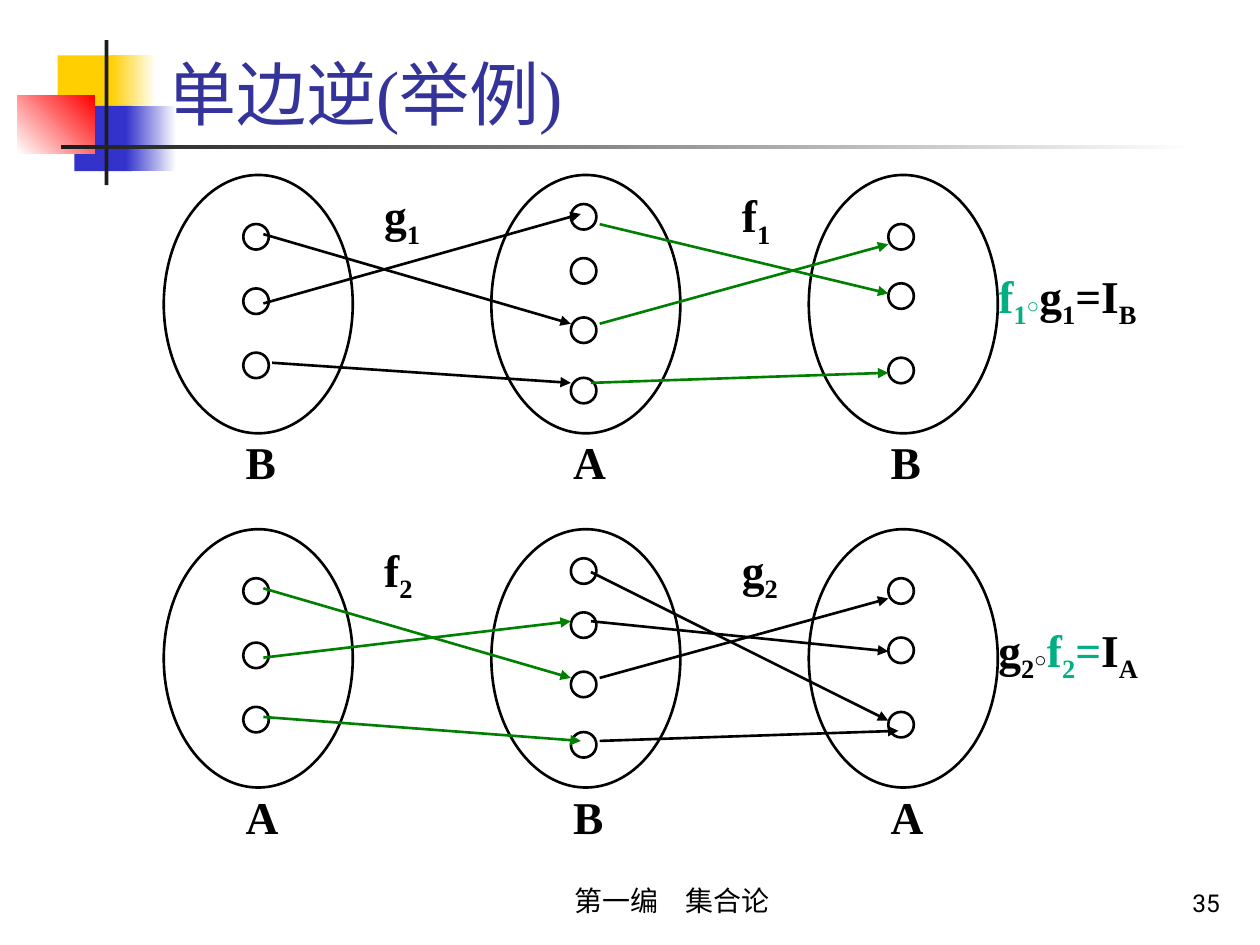
from lxml import etree
from pptx import Presentation
from pptx.dml.color import RGBColor
from pptx.enum import shapes, text
from pptx.oxml.ns import qn
from pptx.util import Pt

SERIF = "Times New Roman"
BLACK, GREEN, TEAL, WHITE = "000000", "008000", "00B082", "FFFFFF"
SUB = -25000  # subscript baseline, thousandths of a percent


def color(value):
    return RGBColor.from_string(value)


def points(*lengths):
    return [Pt(n) for n in lengths]


def add_block(s, box, start, end=None, angle=0):
    """Borderless rectangle, solid or with a two-colour gradient."""
    sp = s.shapes.add_shape(shapes.MSO_SHAPE.RECTANGLE, *points(*box))
    sp.shadow.inherit = False
    sp.line.fill.background()
    if end is None:
        sp.fill.solid()
        sp.fill.fore_color.rgb = color(start)
        return
    sp.fill.gradient()
    sp.fill.gradient_angle = angle
    for stop, value in zip(sp.fill.gradient_stops, (start, end)):
        stop.color.rgb = color(value)


def add_oval(s, x, y, w, h):
    sp = s.shapes.add_shape(shapes.MSO_SHAPE.OVAL, *points(x, y, w, h))
    sp.shadow.inherit = False
    sp.fill.background()
    sp.line.color.rgb = color(BLACK)
    sp.line.width = Pt(1.5)


def add_arrow(s, x1, y1, x2, y2, line_color):
    line = s.shapes.add_connector(shapes.MSO_CONNECTOR.STRAIGHT, *points(x1, y1, x2, y2))
    line.line.color.rgb = color(line_color)
    line.line.width = Pt(1.5)
    etree.SubElement(line.line._get_or_add_ln(), qn("a:tailEnd"), type="triangle")
    etree.SubElement(line._element.spPr, qn("a:effectLst"))


def add_text(s, box, runs, font=SERIF, bold=True, align=text.PP_ALIGN.LEFT,
             anchor=text.MSO_ANCHOR.TOP, spacing=1.1):
    """Text box with one paragraph; runs are (text, size, colour, baseline)."""
    tf = s.shapes.add_textbox(*points(*box)).text_frame
    tf.word_wrap = True
    tf.vertical_anchor = anchor
    p = tf.paragraphs[0]
    p.alignment = align
    p.line_spacing = spacing
    for words, size, fill, baseline in runs:
        r = p.add_run()
        r.text = words
        r.font.name, r.font.size, r.font.bold = font, Pt(size), bold
        r.font.color.rgb = color(fill)
        if baseline:
            r.font._element.set("baseline", str(baseline))


def symbol(letter, index="", fill=BLACK):
    """Runs for a letter with an optional subscript."""
    runs = [(letter, 26, fill, 0)]
    return runs + [(index, 26, fill, SUB)] if index else runs


def add_decoration(s):
    add_block(s, (33, 31.7, 34.6, 37.4), "FFCF01")
    add_block(s, (63.4, 31.7, 25.9, 37.4), "FFCF01", WHITE)
    add_block(s, (42.5, 60.5, 33.1, 37.4), "3333CC")
    add_block(s, (72, 60.5, 28.8, 37.4), "3333CC", WHITE)
    add_block(s, (10, 54.7, 44, 33.1), WHITE, "FF0000", 45)
    add_block(s, (59.8, 23, 2.2, 82.8), "1C1C1C")
    add_block(s, (34.6, 82.8, 648, 2.2), "1C1C1C", WHITE)


def add_title(s, box, words):
    title = s.shapes.title
    title.left, title.top, title.width, title.height = points(*box)
    tf = title.text_frame
    tf.text = words
    tf.auto_size = text.MSO_AUTO_SIZE.NONE
    tf.vertical_anchor = text.MSO_ANCHOR.BOTTOM
    p = tf.paragraphs[0]
    p.alignment = text.PP_ALIGN.LEFT
    font = p.runs[0].font
    font.name, font.size = SERIF, Pt(40)
    font.color.rgb = color("333399")


def add_footer(s, y, height):
    add_text(s, (270, y, 228.2, height), [("第一编\u3000集合论", 16, BLACK, 0)], bold=False,
             align=text.PP_ALIGN.CENTER, anchor=text.MSO_ANCHOR.BOTTOM)
    add_text(s, (554.4, y, 149.8, height), [("35", 14, BLACK, 0)], font="Roboto", bold=False,
             align=text.PP_ALIGN.RIGHT, anchor=text.MSO_ANCHOR.BOTTOM, spacing=1)


# Set position and its element tops, relative to the diagram and the set
SETS = [
    (0, (28, 64.8, 101.5)),
    (187.2, (16.6, 47.5, 81.4, 115.9)),
    (368.6, (28, 61.9, 104.4)),
]


def add_mapping(s, left, top, names, maps, arrows, equation):
    """Three sets joined by two maps, with the composition at the right."""
    # Sets, elements and names
    for (dx, elements), name in zip(SETS, names):
        x = left + dx
        add_oval(s, x, top, 108, 147.6)
        for dy in elements:
            add_oval(s, x + 45.4, top + dy, 14.6, 14.6)
        add_text(s, (x + 39.6, top + 141.6, 73.4, 41.8), symbol(name))
    # Maps
    for dx, (letter, index, fill) in zip((118.8, 323.3), maps):
        add_text(s, (left + dx, top, 73.4, 41.8), symbol(letter, index))
        for x1, y1, x2, y2 in arrows[letter]:
            add_arrow(s, left + x1, top + y1, left + x2, top + y2, fill)
    # Composition
    add_text(s, (left + 469.8, top + 46, 147, 46), equation)


def main():
    prs = Presentation()
    prs.slide_width, prs.slide_height = Pt(720), Pt(540)
    s = prs.slides.add_slide(prs.slide_layouts[5])

    add_decoration(s)
    add_title(s, (87.8, 20.2, 613.4, 60.5), "单边逆(举例)")
    add_mapping(
        s, 93.6, 100, "BAB", [("g", "1", BLACK), ("f", "1", GREEN)],
        {"g": [(56.9, 33.8, 232.6, 85), (61.9, 107.3, 232.6, 118.8), (56.9, 73.4, 238.3, 22.3)],
         "f": [(249.1, 28.1, 414, 67.7), (244.1, 118.8, 414, 113), (249.1, 85, 414, 39.6)]},
        symbol("f", "1", TEAL) + [("○", 12, TEAL, 0)] + symbol("g", "1") + symbol("=I", "B"))
    add_mapping(
        s, 93.6, 302.4, "ABA", [("f", "2", GREEN), ("g", "2", BLACK)],
        {"f": [(56.9, 33.8, 232.6, 85), (56.9, 73.4, 232.6, 52.6), (56.9, 107.3, 238.3, 121)],
         "g": [(244.1, 24.5, 414, 109.4), (249.1, 85, 414, 39.6),
               (244.1, 52.6, 414, 69.8), (249.1, 121, 419.8, 115.2)]},
        symbol("g", "2") + [("○", 12, BLACK, 0)] + symbol("f", "2", TEAL)
        + symbol("=", fill=TEAL) + symbol("I", "A"))
    add_footer(s, 491.8, 36)

    prs.save("out.pptx")


if __name__ == "__main__":
    main()
